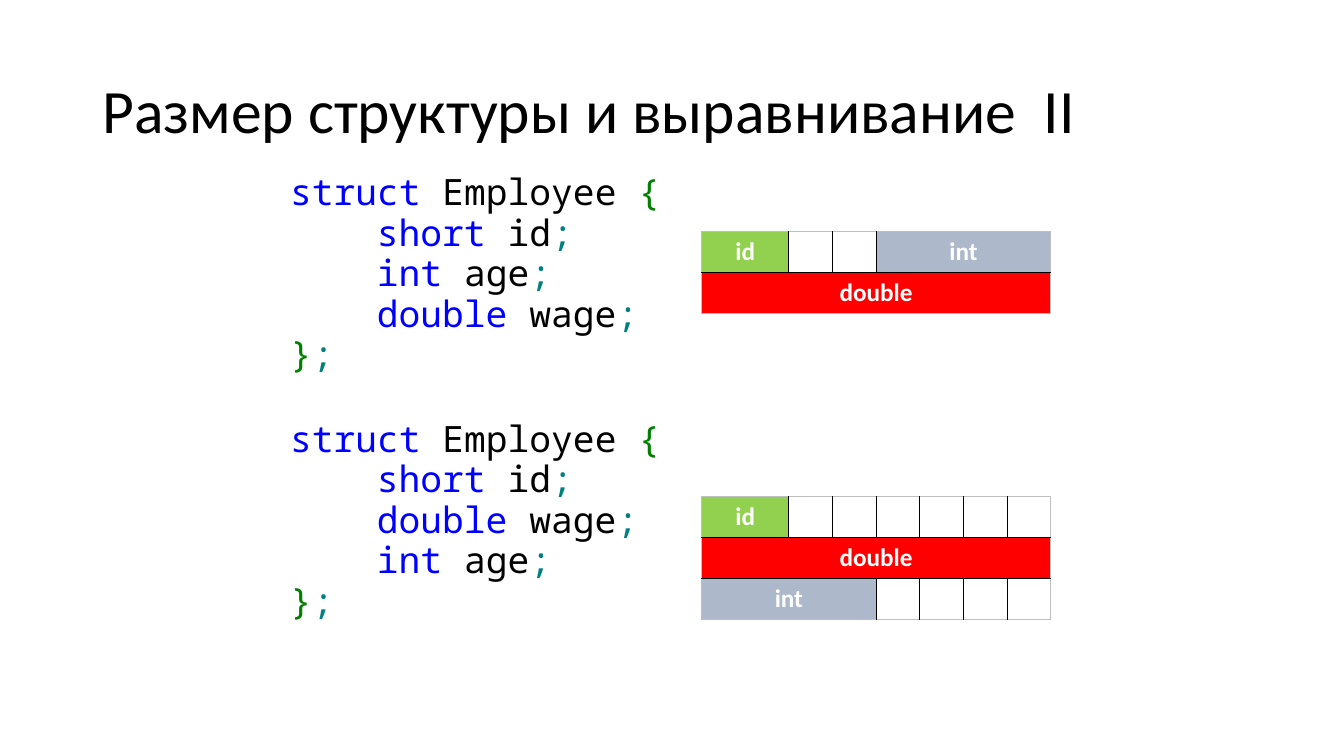
from dataclasses import dataclass

from lxml import etree
from pptx import Presentation
from pptx.dml.color import RGBColor
from pptx.enum.text import MSO_ANCHOR, PP_ALIGN
from pptx.oxml.ns import qn
from pptx.slide import Slide
from pptx.table import _Cell
from pptx.text.text import TextFrame
from pptx.util import Cm, Pt

MIDDLE = MSO_ANCHOR.MIDDLE
TOP = MSO_ANCHOR.TOP
CENTER = PP_ALIGN.CENTER

BLACK = RGBColor(0x00, 0x00, 0x00)
WHITE = RGBColor(0xFF, 0xFF, 0xFF)
BLUE = RGBColor(0x00, 0x00, 0xFF)
GREEN = RGBColor(0x00, 0x80, 0x00)
TEAL = RGBColor(0x00, 0x80, 0x80)
LIME = RGBColor(0x92, 0xD0, 0x50)
SLATE = RGBColor(0xAD, 0xB9, 0xCA)
RED = RGBColor(0xFF, 0x00, 0x00)
GRAY = RGBColor(0xBF, 0xBF, 0xBF)

BYTE = 1.1
ROW = 1.03
INDENT = Cm(2.19)
GAP = Pt(7.1)
BREAK = Pt(38.9)


@dataclass
class Token:
    text: str
    color: RGBColor


@dataclass
class Line:
    tokens: list[Token]
    inner: bool = False
    first: bool = False


@dataclass
class Field:
    span: int = 1
    name: str = ""
    color: RGBColor | None = None


@dataclass
class Layout:
    top: float
    sizes: list[int]
    rows: list[list[Field]]


def member(kind: str, name: str) -> Line:
    tokens = [Token(kind, BLUE), Token(f" {name}", BLACK), Token(";", TEAL)]
    return Line(tokens, inner=True)


def struct(*members: Line) -> list[Line]:
    head = [Token("struct", BLUE), Token(" Employee ", BLACK),
            Token("{", GREEN)]
    tail = [Token("}", GREEN), Token(";", TEAL)]
    return [Line(head, first=True), *members, Line(tail)]


ID = member("short", "id")
AGE = member("int", "age")
WAGE = member("double", "wage")
CODE = [struct(ID, AGE, WAGE), struct(ID, WAGE, AGE)]

LAYOUTS = [
    Layout(5.84, [2, 1, 1, 4], [
        [Field(1, "id", LIME), Field(), Field(), Field(1, "int", SLATE)],
        [Field(4, "double", RED)],
    ]),
    Layout(12.52, [2] + [1] * 6, [
        [Field(1, "id", LIME)] + [Field()] * 6,
        [Field(7, "double", RED)],
        [Field(3, "int", SLATE)] + [Field()] * 4,
    ]),
]


def add_box(slide: Slide, left: float, top: float, width: float,
            height: float, anchor: MSO_ANCHOR) -> TextFrame:
    box = slide.shapes.add_textbox(Cm(left), Cm(top), Cm(width), Cm(height))
    frame = box.text_frame
    frame.word_wrap = True
    frame.vertical_anchor = anchor
    return frame


def add_title(slide: Slide) -> None:
    para = add_box(slide, 2.33, 1.01, 29.21, 3.68, MIDDLE).paragraphs[0]
    para.text = "Размер структуры и выравнивание  II"
    para.line_spacing = 0.9
    para.font.name = "Calibri"
    para.font.size = Pt(44)
    para.font.color.rgb = BLACK


def add_code(slide: Slide) -> None:
    frame = add_box(slide, 7.06, 4.45, 22.58, 12.57, TOP)
    lines = [line for block in CODE for line in block]
    for index, line in enumerate(lines):
        para = frame.add_paragraph() if index else frame.paragraphs[0]
        para.line_spacing = 0.7
        para.space_before = BREAK if line.first and index else GAP
        para.font.name = "Noto Sans Mono"
        para.font.size = Pt(25.9)
        if line.inner:
            para._p.get_or_add_pPr().set("marL", str(INDENT))
        for token in line.tokens:
            run = para.add_run()
            run.text = token.text
            run.font.color.rgb = token.color


def add_edges(cell: _Cell, outer: dict[str, bool]) -> None:
    props = cell._tc.get_or_add_tcPr()
    for side, rim in outer.items():
        edge = etree.SubElement(props, qn(f"a:ln{side}"), w=str(Pt(1)))
        fill = etree.SubElement(edge, qn("a:solidFill"))
        color = GRAY if rim else BLACK
        etree.SubElement(fill, qn("a:srgbClr"), val=str(color))


def fill_cell(cell: _Cell, field: Field) -> None:
    if field.color is None:
        cell.fill.background()
        return
    cell.fill.solid()
    cell.fill.fore_color.rgb = field.color
    cell.vertical_anchor = MIDDLE
    para = cell.text_frame.paragraphs[0]
    para.text = field.name
    para.alignment = CENTER
    para.font.name = "Calibri"
    para.font.size = Pt(18)
    para.font.bold = True
    para.font.color.rgb = WHITE


def add_layout(slide: Slide, layout: Layout) -> None:
    high, wide = len(layout.rows), len(layout.sizes)
    table = slide.shapes.add_table(
        high, wide, Cm(17.68), Cm(layout.top),
        Cm(BYTE * sum(layout.sizes)), Cm(ROW * high)).table
    table.first_row = False
    table.horz_banding = False
    for column, size in zip(table.columns, layout.sizes):
        column.width = Cm(BYTE * size)
    for y, fields in enumerate(layout.rows):
        table.rows[y].height = Cm(ROW)
        x = 0
        for field in fields:
            cell = table.cell(y, x)
            end = x + field.span
            if field.span > 1:
                cell.merge(table.cell(y, end - 1))
            add_edges(cell, {"L": x == 0, "R": end == wide,
                             "T": y == 0, "B": y == high - 1})
            fill_cell(cell, field)
            x = end


def main() -> None:
    deck = Presentation()
    deck.slide_width, deck.slide_height = Cm(33.87), Cm(19.05)
    slide = deck.slides.add_slide(deck.slide_layouts[6])
    add_title(slide)
    add_code(slide)
    for layout in LAYOUTS:
        add_layout(slide, layout)
    deck.save("out.pptx")


if __name__ == "__main__":
    main()
